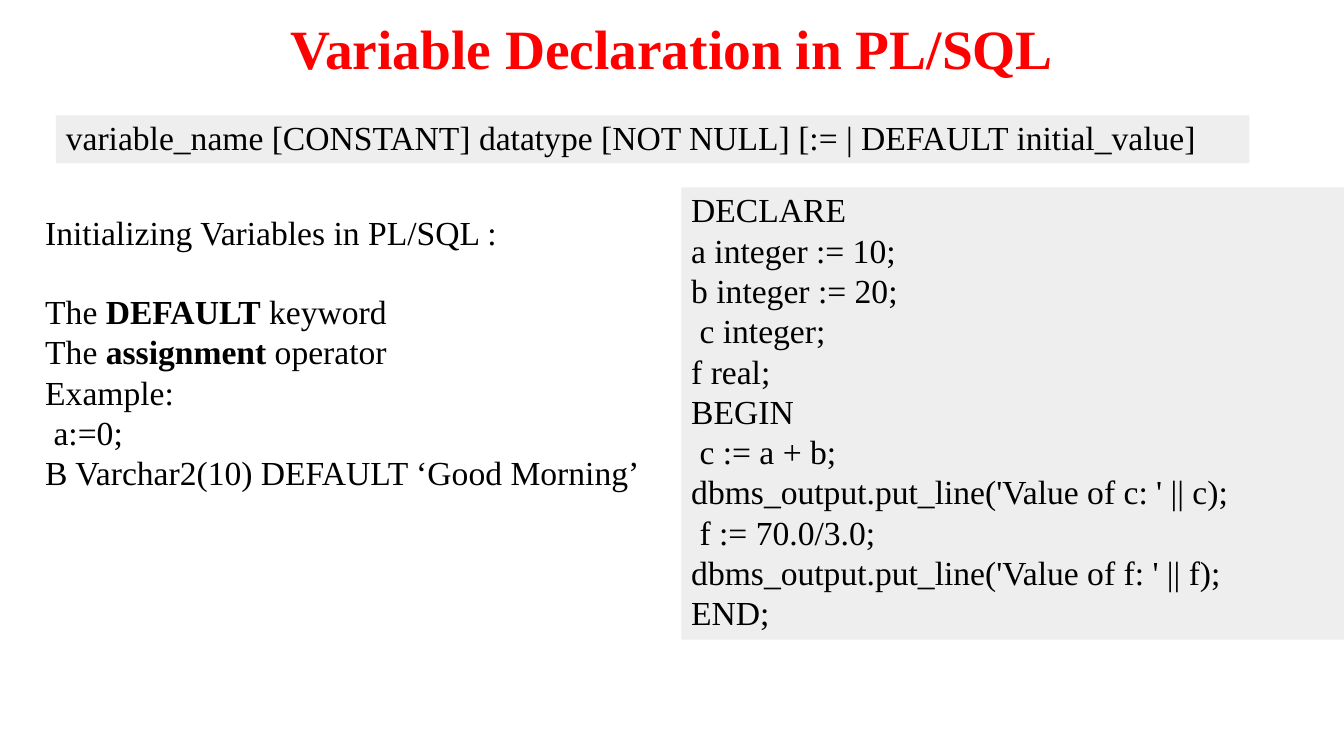
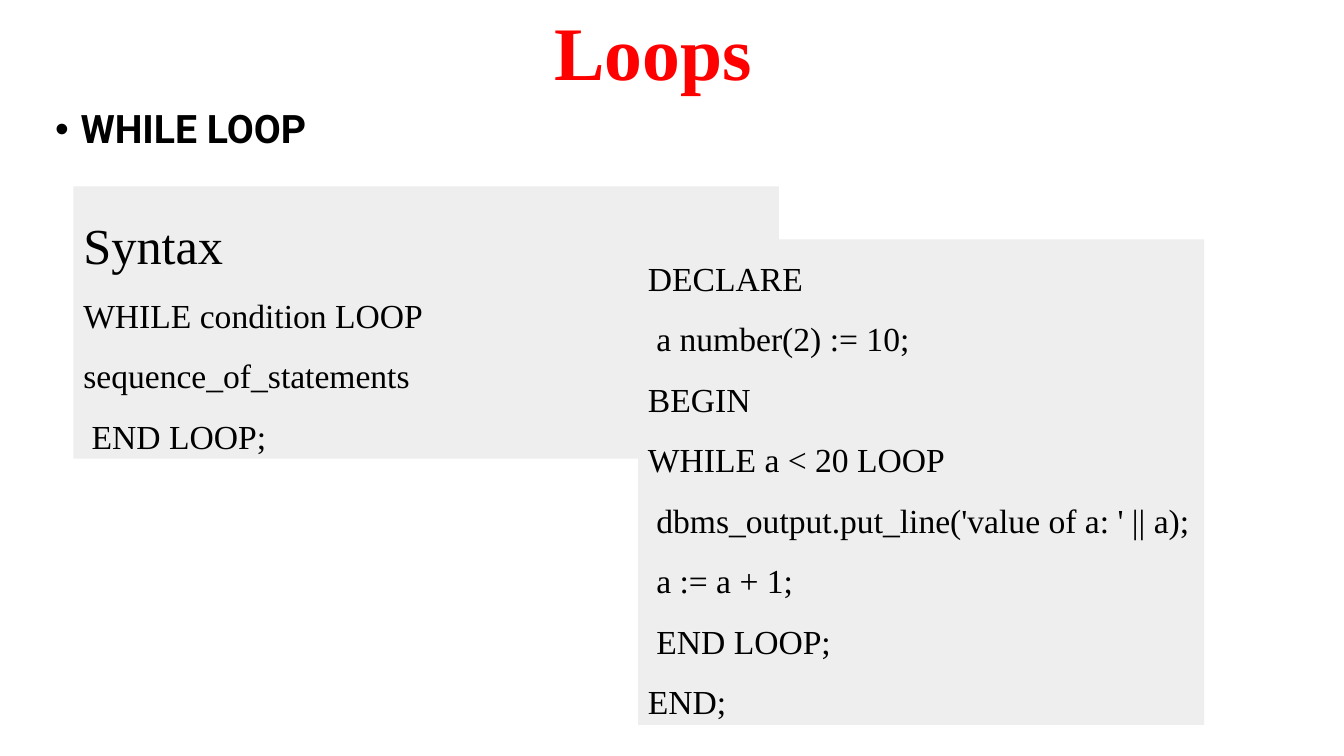
from lxml import etree
from pptx import Presentation
from pptx import util as u
from pptx.dml import color
from pptx.enum import text
from pptx.oxml import ns

SLIDE_WIDTH, SLIDE_HEIGHT = 33.87, 19.05
RED, BLACK, GREY = "FF0000", "000000", "EEEEEE"
SERIF, SANS = "Times New Roman", "Roboto"
CODE_MARGINS = {"margin_left": 0.25, "margin_top": 0, "margin_right": 0.25, "margin_bottom": 0.13}
TEXT_MARGINS = {**CODE_MARGINS, "margin_top": 0.13}

SYNTAX_LINE = "variable_name [CONSTANT] datatype [NOT NULL] [:= | DEFAULT initial_value]"
INITIALIZING = [
    "Initializing Variables in PL/SQL :",
    "The **DEFAULT** keyword",
    "The **assignment** operator",
    "Example:",
    " a:=0;",
    "B Varchar2(10) DEFAULT ‘Good Morning’",
]
DECLARE_CODE = """DECLARE
a integer := 10;
b integer := 20;
 c integer;
f real;
BEGIN
 c := a + b;
dbms_output.put_line('Value of c: ' || c);
 f := 70.0/3.0;
dbms_output.put_line('Value of f: ' || f);
END;"""
WHILE_SYNTAX = """Syntax
WHILE condition LOOP
sequence_of_statements
 END LOOP;"""
WHILE_CODE = """DECLARE
 a number(2) := 10;
BEGIN
WHILE a < 20 LOOP
 dbms_output.put_line('value of a: ' || a);
 a := a + 1;
 END LOOP;
END;"""


def rgb(value):
    return color.RGBColor.from_string(value)


def apply_format(target, values):
    for name, value in values.items():
        setattr(target, name, value)


def add_text(slide, box, lines, size=24, font=SERIF, ink=BLACK, bold=False,
             paragraph_format=None, margins=TEXT_MARGINS, anchor=text.MSO_ANCHOR.TOP):
    shape = slide.shapes.add_textbox(*(u.Cm(length) for length in box))
    frame = shape.text_frame
    apply_format(frame, {"word_wrap": True, "vertical_anchor": anchor})
    apply_format(frame, {name: u.Cm(length) for name, length in margins.items()})
    for index, line in enumerate(lines):
        paragraph = frame.add_paragraph() if index else frame.paragraphs[0]
        apply_format(paragraph, paragraph_format or {})
        for part, words in enumerate(line.split("**")):
            if words:
                run = paragraph.add_run()
                run.text = words
                apply_format(run.font, {"name": font, "size": u.Pt(size), "bold": bold or part % 2 == 1})
                run.font.color.rgb = rgb(ink)
    return shape


def add_title(slide, box, title, size):
    add_text(slide, box, [title], size, ink=RED, bold=True, anchor=text.MSO_ANCHOR.MIDDLE,
             paragraph_format={"alignment": text.PP_ALIGN.CENTER, "line_spacing": 0.9})


def add_code(slide, box, code, line_spacing=1.0):
    shape = add_text(slide, box, code.split("\n"), margins=CODE_MARGINS, anchor=text.MSO_ANCHOR.MIDDLE,
                     paragraph_format={"line_spacing": line_spacing})
    shape.fill.solid()
    shape.fill.fore_color.rgb = rgb(GREY)
    return shape


def add_bullet(slide, box, line):
    shape = add_text(slide, box, [line], 28, SANS, bold=True, paragraph_format={"line_spacing": 0.9})
    properties = shape.text_frame.paragraphs[0]._p.get_or_add_pPr()
    indent = u.Cm(0.64)
    properties.set("marL", str(indent))
    properties.set("indent", str(-indent))
    etree.SubElement(properties, ns.qn("a:buFont")).set("typeface", "Arial")
    etree.SubElement(properties, ns.qn("a:buChar")).set("char", "•")


def build_declaration(slide):
    add_title(slide, (2.33, 0.3, 29.21, 2), "Variable Declaration in PL/SQL", 39.6)
    add_code(slide, (1.41, 2.91, 30.08, 1.2), SYNTAX_LINE)
    notes = add_text(slide, (0.89, 5.2, 16.2, 7.44), INITIALIZING)
    notes.text_frame.paragraphs[1].space_before = u.Pt(28)
    code_left = 17.17
    add_code(slide, (code_left, 4.72, SLIDE_WIDTH - code_left, 11.4), DECLARE_CODE)


def build_loops(slide):
    add_title(slide, (1.85, 0.18, 29.21, 2.46), "Loops", 54)
    add_bullet(slide, (1.14, 2.64, 30.38, 1.4), "WHILE LOOP")
    syntax = add_code(slide, (1.85, 4.7, 17.78, 6.86), WHILE_SYNTAX, 1.5)
    syntax.text_frame.paragraphs[0].runs[0].font.size = u.Pt(36)
    add_code(slide, (16.08, 6.03, 14.27, 12.24), WHILE_CODE, 1.5)


def main():
    presentation = Presentation()
    apply_format(presentation, {"slide_width": u.Cm(SLIDE_WIDTH), "slide_height": u.Cm(SLIDE_HEIGHT)})
    for build in (build_declaration, build_loops):
        build(presentation.slides.add_slide(presentation.slide_layouts[6]))
    presentation.save("out.pptx")


if __name__ == "__main__":
    main()
